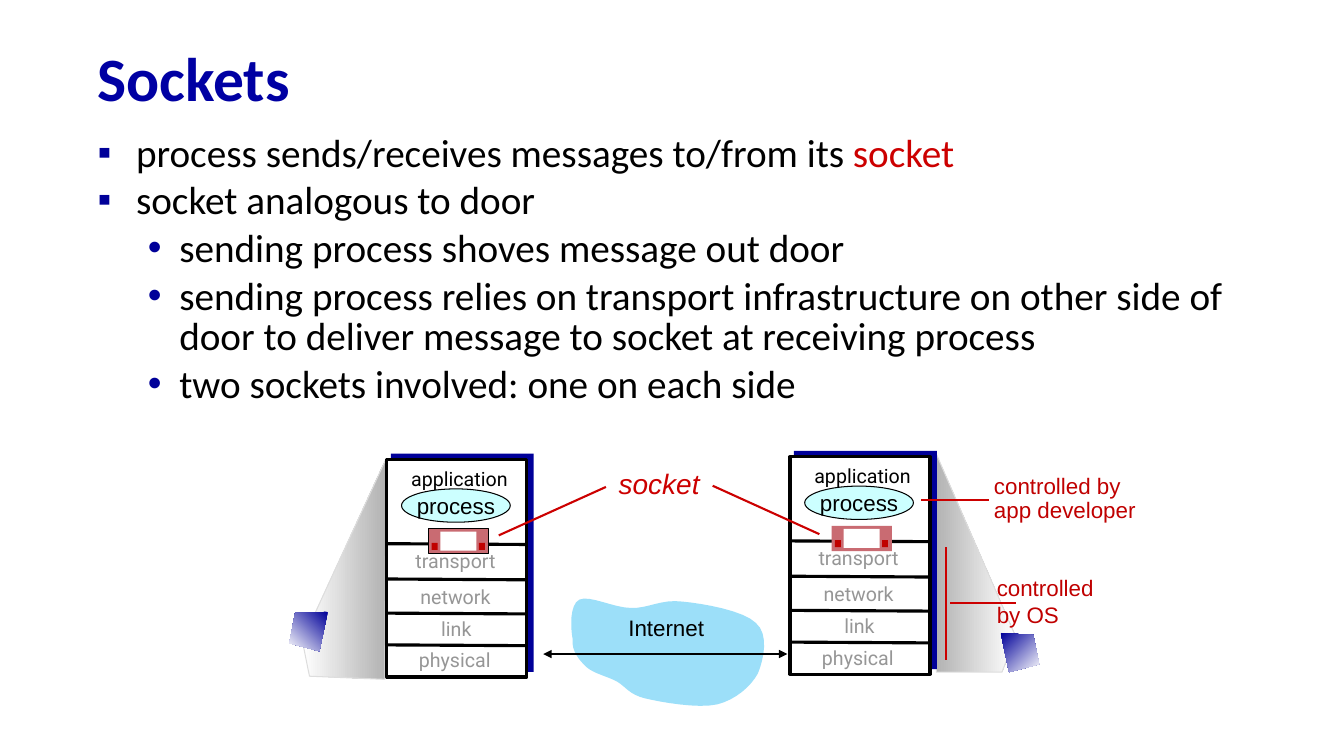
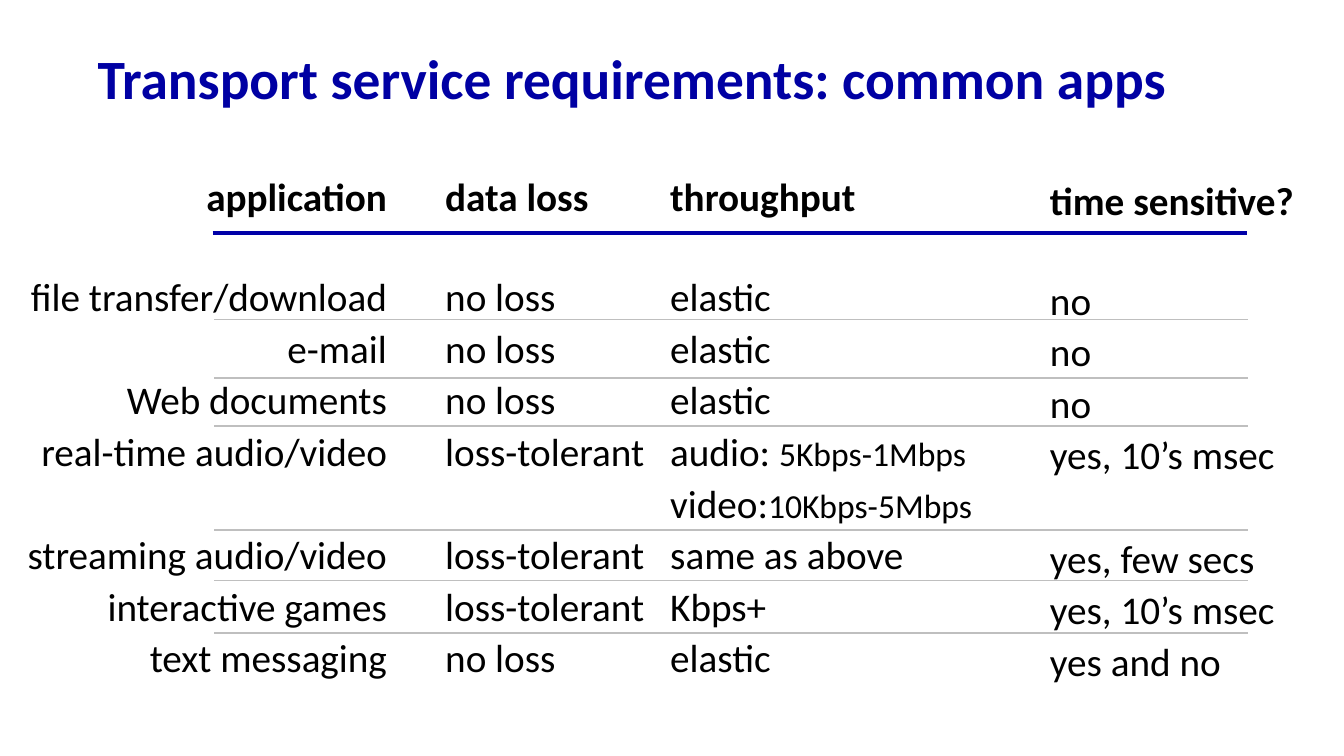
from lxml.etree import SubElement
from pptx import Presentation
from pptx.dml.color import RGBColor
from pptx.enum.shapes import MSO_CONNECTOR as Link, MSO_SHAPE as Form
from pptx.enum.text import MSO_ANCHOR as Anchor, PP_ALIGN as Align
from pptx.oxml.ns import qn
from pptx.util import Cm, Pt

NAVY, BLUE, RED, DARK = "0000A3", "000099", "CC0000", "C00000"
BLACK, WHITE, GREY = "000000", "FFFFFF", "969696"


def rgb(code):
    return RGBColor.from_string(code)


def curve(start, arcs, steps=8):
    """Points along a chain of cubic Bezier arcs."""
    spots = [start]
    for b, c, d in arcs:
        a = spots[-1]
        for i in range(1, steps + 1):
            t = i / steps
            u = 1 - t
            spots.append(tuple(
                u**3 * p + 3 * u * u * t * q + 3 * u * t * t * r + t**3 * s
                for p, q, r, s in zip(a, b, c, d)))
    return spots


class Deck:
    def __init__(self):
        self.show = Presentation()
        self.show.slide_width, self.show.slide_height = Cm(33.87), Cm(19.05)

    def slide(self, title, size):
        self.shapes = self.show.slides.add_slide(
            self.show.slide_layouts[6]).shapes
        box = self.text(2.21, 0.81, 29.21, 2.49, [title], size, "Calibri",
                        NAVY, space=0.9, bold=True)
        box.text_frame.vertical_anchor = Anchor.MIDDLE

    def typeset(self, frame, lines, size, face, ink, align=Align.LEFT,
                space=1.0, bold=False, italic=False):
        """Fill a frame; a line is a string or a list of (text, size, ink)."""
        for i, line in enumerate(lines):
            par = frame.add_paragraph() if i else frame.paragraphs[0]
            par.alignment, par.line_spacing = align, space
            font = par.font
            font.name, font.size, font.bold = face, Pt(size), bold
            font.italic, font.color.rgb = italic, rgb(ink)
            runs = [(line, size, ink)] if isinstance(line, str) else line
            for words, points, tint in runs:
                run = par.add_run()
                run.text = words
                if points != size:
                    run.font.size = Pt(points)
                if tint != ink:
                    run.font.color.rgb = rgb(tint)

    def text(self, x, y, w, h, lines, size, face, ink, **style):
        box = self.shapes.add_textbox(Cm(x), Cm(y), Cm(w), Cm(h))
        box.text_frame.word_wrap = True
        self.typeset(box.text_frame, lines, size, face, ink, **style)
        return box

    def bullets(self, x, y, w, h, items, size):
        """Items are (level, line) pairs."""
        box = self.text(x, y, w, h, [line for _, line in items], size,
                        "Calibri", BLACK, space=0.85)
        for par, (level, _) in zip(box.text_frame.paragraphs, items):
            par.level = level
            par.space_before = Pt(size / 5)
            left, hang, mark = ((0.97, 0.97, "▪"), (2.06, 0.79, "•"))[level]
            props = par._p.get_or_add_pPr()
            props.set("marL", str(Cm(left)))
            props.set("indent", str(-Cm(hang)))
            # Bullet elements go ahead of the default run properties.
            spot = props.find(qn("a:defRPr"))
            tint = SubElement(props, qn("a:buClr"))
            SubElement(tint, qn("a:srgbClr"), val=BLUE)
            face = SubElement(props, qn("a:buFont"), typeface="Arial")
            sign = SubElement(props, qn("a:buChar"), char=mark)
            if spot is not None:
                for part in (tint, face, sign):
                    spot.addprevious(part)

    def edge(self, shape, ink=None, width=0.75):
        shape.shadow.inherit = False
        if ink:
            shape.line.color.rgb, shape.line.width = rgb(ink), Pt(width)
        else:
            shape.line.fill.background()

    def block(self, x, y, w, h, fill, ink=None, width=0.75,
              form=Form.RECTANGLE):
        shape = self.shapes.add_shape(form, Cm(x), Cm(y), Cm(w), Cm(h))
        shape.fill.solid()
        shape.fill.fore_color.rgb = rgb(fill)
        self.edge(shape, ink, width)
        return shape

    def outline(self, spots, fills, angle=0, ink=None):
        """Closed polygon; two fills make a gradient."""
        first, *rest = [(Cm(x), Cm(y)) for x, y in spots]
        pen = self.shapes.build_freeform(*first, scale=1.0)
        pen.add_line_segments(rest, close=True)
        shape = pen.convert_to_shape()
        if len(fills) == 2:
            shape.fill.gradient()
            shape.fill.gradient_angle = angle
            for stop, tint in zip(shape.fill.gradient_stops, fills):
                stop.color.rgb = rgb(tint)
        else:
            shape.fill.solid()
            shape.fill.fore_color.rgb = rgb(fills[0])
        self.edge(shape, ink)

    def line(self, x, y, to_x, to_y, ink, width, heads=False):
        link = self.shapes.add_connector(
            Link.STRAIGHT, Cm(x), Cm(y), Cm(to_x), Cm(to_y))
        link.line.color.rgb, link.line.width = rgb(ink), Pt(width)
        props = link._element.spPr
        if heads:
            for end in ("a:headEnd", "a:tailEnd"):
                SubElement(props.find(qn("a:ln")), qn(end), type="triangle")
        SubElement(props, qn("a:effectLst"))

    def host(self, x, y, frame=None):
        """Protocol stack with a process and its socket door."""
        self.block(x + 0.1, y - 0.15, 3.6, 5.5, BLUE)
        self.block(x, y, 3.53, 5.48, WHITE, BLACK, 2.25)
        for down in (2.12, 3.01, 3.87, 4.67):
            self.line(x, y + down, x + 3.53, y + down + 0.02, BLACK, 2.25)
        layers = (("application", 0, 0, BLACK),
                  ("transport", -0.1, 2.06, GREY),
                  ("network", -0.1, 2.97, GREY),
                  ("link", -0.08, 3.78, GREY),
                  ("physical", -0.12, 4.57, GREY))
        for name, right, down, ink in layers:
            self.text(x + right, y + down, 3.66, 0.91, [name], 14, "Roboto",
                      ink, align=Align.CENTER, space=1.1)
        oval = self.block(x + 0.37, y + 0.74, 2.74, 0.84, "CCFFFF", BLACK,
                          form=Form.OVAL)
        oval.text_frame.word_wrap = False
        oval.text_frame.vertical_anchor = Anchor.MIDDLE
        self.typeset(oval.text_frame, ["process"], 16, "Arial", BLACK,
                     align=Align.CENTER)
        left, top = x + 1.05, y + 1.74
        self.block(left, top, 1.52, 0.64, "C96B72", frame)
        self.block(left + 0.3, top + 0.08, 0.91, 0.48, WHITE)
        for knob in (0.08, 1.27):
            self.block(left + knob, top + 0.36, 0.15, 0.18, DARK)

    def table(self, x, y, widths, heights, rows, size):
        """First row is bold, first column is set to the right."""
        grid = self.shapes.add_table(
            len(rows), len(widths), Cm(x), Cm(y),
            Cm(sum(widths)), Cm(sum(heights))).table
        grid.first_row = grid.horz_banding = False
        for col, wide in zip(grid.columns, widths):
            col.width = Cm(wide)
        for r, (row, high) in enumerate(zip(rows, heights)):
            grid.rows[r].height = Cm(high)
            for c, lines in enumerate(row):
                cell = grid.cell(r, c)
                cell.fill.background()
                cell.margin_left = Cm(0.25 if c else 0)
                cell.margin_right = Cm(0 if c else 1.22)
                cell.margin_top = Cm(0.09 if c == 3 else 0)
                cell.margin_bottom = 0
                if isinstance(lines, str):
                    lines = [lines]
                self.typeset(cell.text_frame, lines, size, "Calibri", BLACK,
                             align=Align.LEFT if c else Align.RIGHT,
                             bold=r == 0)
                for par in cell.text_frame.paragraphs[1:]:
                    par.line_spacing = 1.1


def sockets(deck):
    deck.slide("Sockets", 44)
    deck.bullets(2.21, 3.28, 30.45, 6.48, [
        (0, [("process sends/receives messages to/from its ", 28, BLACK),
             ("socket", 28, RED)]),
        (0, "socket analogous to door"),
        (1, "sending process shoves message out door"),
        (1, "sending process relies on transport infrastructure on other "
            "side of door to deliver message to socket at receiving process"),
        (1, "two sockets involved: one on each side"),
    ], 28)

    beam = (WHITE, "B2B2B2")
    deck.outline([(25.6, 16.05), (23.57, 11.38), (23.6, 16.94),
                  (25.25, 16.94)], beam[::-1], ink="DDDDDD")
    deck.outline([(7.62, 16.15), (9.73, 11.56), (9.7, 17.12), (7.8, 17.04)],
                 beam, ink="DDDDDD")

    deck.outline(curve((14.43, 16.1), [
        ((14.38, 15.82), (14.35, 15.24), (14.6, 15.11)),
        ((14.86, 14.99), (15.47, 15.32), (15.9, 15.32)),
        ((16.33, 15.34), (16.66, 15.09), (17.2, 15.16)),
        ((17.73, 15.21), (18.75, 15.39), (19.05, 15.7)),
        ((19.38, 15.98), (19.25, 16.61), (19.1, 16.97)),
        ((18.92, 17.3), (18.54, 17.63), (18.08, 17.75)),
        ((17.58, 17.86), (16.69, 17.7), (16.26, 17.6)),
        ((15.85, 17.5), (15.77, 17.3), (15.54, 17.17)),
        ((15.29, 17.04), (14.96, 16.97), (14.78, 16.81)),
        ((14.6, 16.64), (14.4, 16.41), (14.43, 16.1)),
    ]), ["9CDFF9"])
    deck.text(15.42, 15.34, 2.74, 0.94, ["Internet"], 16, "Arial", BLACK,
              align=Align.CENTER)
    deck.line(13.69, 16.48, 19.84, 16.48, BLACK, 0.75, heads=True)

    deck.host(9.75, 11.58, BLACK)
    deck.host(19.91, 11.51)

    deck.text(24.87, 14.35, 3.2, 2.29, ["controlled", "by OS"], 16, "Arial",
              DARK)
    deck.text(24.8, 11.84, 4.4, 1.47, ["controlled by", "app developer"], 16,
              "Arial", DARK, space=0.9)
    deck.text(15.34, 11.73, 2.8, 1.02, ["socket"], 20, "Arial", RED,
              space=0.9, italic=True)
    for ends in ((24.92, 12.6, 23.22, 12.6), (23.85, 13.79, 23.85, 16.64),
                 (25.6, 15.19, 23.93, 15.19), (12.57, 13.49, 15.27, 12.27),
                 (20.65, 13.46, 17.96, 12.24)):
        deck.line(*ends, RED, 1.5)

    deck.outline([(8.26, 15.42), (7.44, 15.44), (7.29, 16.21), (8.05, 16.41)],
                 (BLUE, WHITE), 225)
    deck.outline([(25.22, 15.95), (26.04, 16), (26.19, 16.74),
                  (25.43, 16.94)], (BLUE, WHITE), 315)


def needs(deck):
    deck.slide("Transport service requirements: common apps", 39.6)
    rates = [[("audio: ", 28, BLACK), ("5Kbps-1Mbps", 24, BLACK)],
             [("video:", 28, BLACK), ("10Kbps-5Mbps", 24, BLACK)]]
    rows = [
        ("application", "data loss", "throughput", "time sensitive?"),
        ("file transfer/download", "no loss", "elastic", "no"),
        ("e-mail", "no loss", "elastic", "no"),
        ("Web documents", "no loss", "elastic", "no"),
        ("real-time audio/video", "loss-tolerant", rates, "yes, 10’s msec"),
        ("streaming audio/video", "loss-tolerant", "same as above",
         "yes, few secs"),
        ("interactive games", "loss-tolerant", "Kbps+", "yes, 10’s msec"),
        ("text messaging", "no loss", "elastic", "yes and no"),
    ]
    pitch = 1.3
    heights = [2.52] + [pitch] * 3 + [2 * pitch] + [pitch] * 3
    deck.table(0.5, 4.39, (10.47, 5.67, 9.57, 7.6), heights, rows, 28)
    deck.line(5.36, 5.87, 31.42, 5.87, "0000A8", 2.5)
    for y in (8.05, 9.53, 10.74, 13.36, 14.63, 15.95):
        deck.line(5.4, y, 31.45, y, "BFBFBF", 1.25)


def main():
    deck = Deck()
    sockets(deck)
    needs(deck)
    deck.show.save("out.pptx")


if __name__ == "__main__":
    main()
